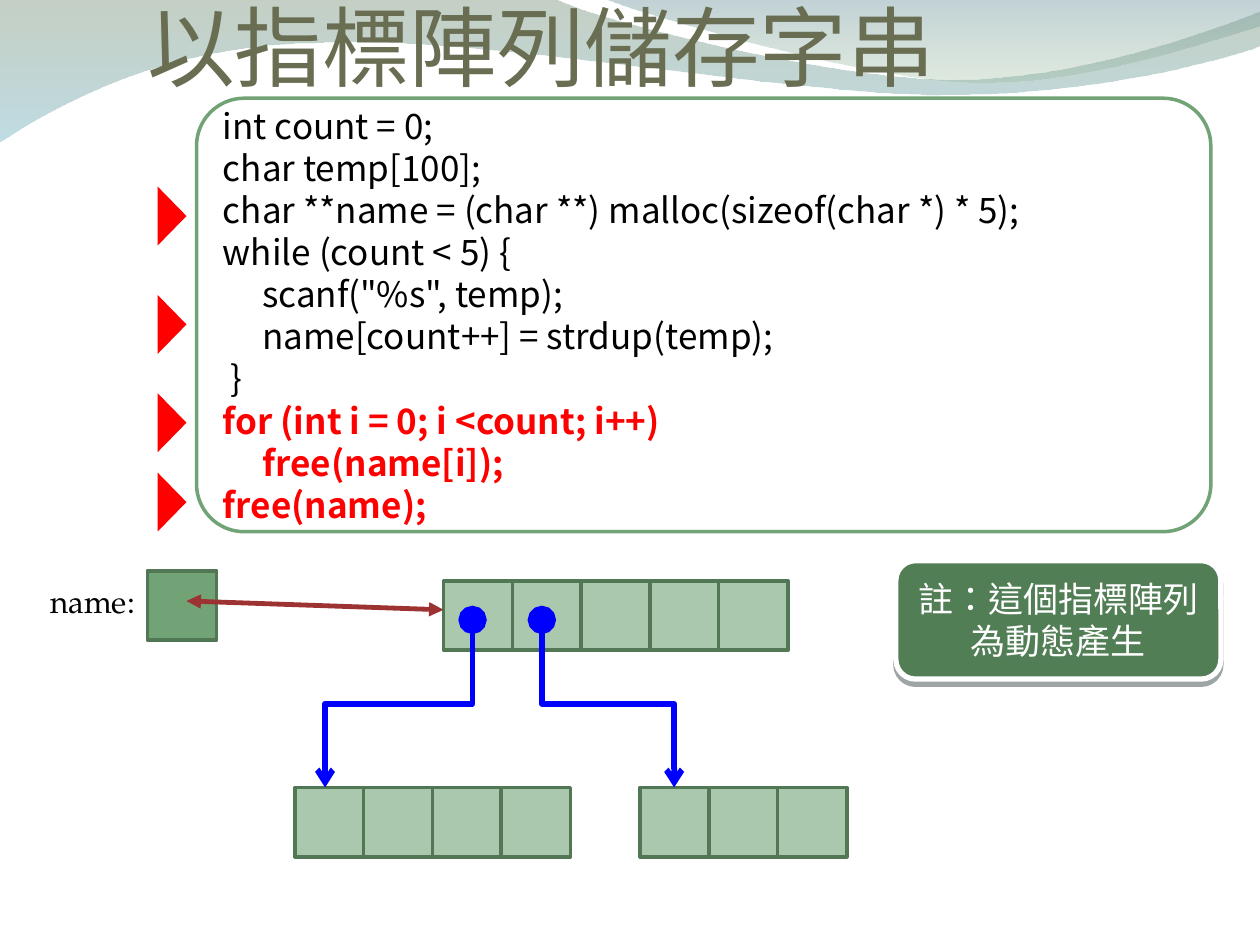
from dataclasses import dataclass
from typing import Optional

from lxml.etree import SubElement
from pptx import Presentation
from pptx.dml.color import RGBColor
from pptx.enum.shapes import MSO_CONNECTOR as CONNECTOR, MSO_SHAPE as SHAPE
from pptx.enum.text import MSO_ANCHOR as ANCHOR, PP_ALIGN as ALIGN
from pptx.oxml.ns import qn
from pptx.util import Inches, Pt

BLACK = RGBColor(0x00, 0x00, 0x00)
WHITE = RGBColor(0xFF, 0xFF, 0xFF)
RED = RGBColor(0xFF, 0x00, 0x00)
BLUE = RGBColor(0x00, 0x00, 0xFF)
BROWN = RGBColor(0x9D, 0x32, 0x32)
OLIVE = RGBColor(0x69, 0x6D, 0x52)
GREEN = RGBColor(0x72, 0xA3, 0x76)
PALE_GREEN = RGBColor(0xAA, 0xC8, 0xAD)
EDGE_GREEN = RGBColor(0x52, 0x77, 0x55)
NOTE_GREEN = RGBColor(0x52, 0x7E, 0x56)
MOSS = RGBColor(0x7E, 0x97, 0x7E)
SKY = RGBColor(0x8C, 0xC0, 0xCE)
STEEL = RGBColor(0x75, 0x99, 0xA3)
SAGE = RGBColor(0x96, 0xB8, 0x96)

SANS = "Noto Sans CJK SC"
SERIF = "TeX Gyre Pagella"
CELL = 0.55
PITCH = 2.73 / 5

CODE = """int count = 0;
char temp[100];
char **name = (char **) malloc(sizeof(char *) * 5);
while (count < 5) {
     scanf("%s", temp);
     name[count++] = strdup(temp);
 }"""
FREE_CODE = """for (int i = 0; i <count; i++)
     free(name[i]);
free(name);"""


@dataclass
class Wave:
    """A header band; a 1-point step is a line, a 3-point step a Bézier curve."""
    start: tuple
    steps: list
    stops: list  # (colour, opacity in percent) from top to bottom


@dataclass
class Row:
    """A row of array cells, with an optional pointer into its first cell."""
    left: float
    top: float
    count: int
    pointer: Optional[tuple] = None  # start x, start y, end x


WAVES = [
    Wave((0, -0.01),
         [[(4.4, -0.01)], [(4.76, 0.17), (6.64, 0.63), (7.58, 0.63)],
          [(8.53, 0.63), (9.58, 0.26), (10, 0.09)], [(10.01, 0.36)],
          [(9.83, 0.44), (8.7, 0.76), (7.46, 0.75)],
          [(6.22, 0.75), (3.82, 0.28), (2.57, 0.34)],
          [(1.29, 0.35), (0.46, 0.83), (-0.01, 1.13)]],
         [(MOSS, 45), (SKY, 55)]),
    Wave((4.79, -0.01),
         [[(5.09, 0.11), (6.82, 0.62), (7.69, 0.65)],
          [(8.56, 0.69), (9.61, 0.32), (10, 0.21)], [(10, 0)]],
         [(STEEL, 45), (SAGE, 30)]),
]
ROWS = [
    Row(3.52, 4.61, 5),
    Row(2.34, 6.25, 4, (3.75, 4.92, 2.58)),
    Row(5.08, 6.25, 3, (4.3, 4.92, 5.35)),
]
MARKER_TOPS = [1.6, 2.46, 3.24, 3.87]


def write(frame, text, *, size, color, font=SANS, bold=False, align=ALIGN.LEFT,
          anchor=ANCHOR.MIDDLE, spacing=None, language="en-US", append=False) -> None:
    """Write one paragraph per line of text, after the present ones if append."""
    frame.word_wrap = True
    frame.vertical_anchor = anchor
    for index, line in enumerate(text.split("\n")):
        new = append or index
        paragraph = frame.add_paragraph() if new else frame.paragraphs[0]
        paragraph.alignment = align
        paragraph.line_spacing = spacing
        paragraph.space_before = Pt(0)
        run = paragraph.add_run()
        run.text = line
        run.font.name, run.font.size, run.font.bold = font, Pt(size), bold
        run.font.color.rgb = color
        run.font._element.set("lang", language)
        SubElement(run.font._element, qn("a:ea"), typeface=font)


def add_box(shapes, kind, left, top, width, height, fill, line=None, weight=2):
    shape = shapes.add_shape(kind, Inches(left), Inches(top),
                             Inches(width), Inches(height))
    shape.shadow.inherit = False
    shape.fill.solid()
    shape.fill.fore_color.rgb = fill
    if line is None:
        shape.line.fill.background()
    else:
        shape.line.color.rgb = line
        shape.line.width = Pt(weight)
    return shape


def add_arrow(shapes, kind, start, end, color, weight, head, tail, head_size="med"):
    connector = shapes.add_connector(kind, *(Inches(v) for v in (*start, *end)))
    connector.line.color.rgb = color
    connector.line.width = Pt(weight)
    properties = connector._element.spPr
    line = properties.find(qn("a:ln"))
    SubElement(line, qn("a:headEnd"), type=head, w=head_size, len=head_size)
    SubElement(line, qn("a:tailEnd"), type=tail)
    SubElement(properties, qn("a:effectLst"))
    return connector


def add_pointer(shapes, start_x: float, start_y: float, end_x: float, end_y: float) -> None:
    """Elbow arrow that leaves downwards: a sideways elbow, turned a quarter."""
    width, height = end_y - start_y, abs(end_x - start_x)
    left = (start_x + end_x - width) / 2
    top = (start_y + end_y - height) / 2
    connector = add_arrow(shapes, CONNECTOR.ELBOW, (left, top), (left + width, top + height),
                          BLUE, 3.25, "oval", "arrow", head_size="lg")
    transform = connector._element.spPr.find(qn("a:xfrm"))
    to_right = end_x > start_x
    transform.set("rot", str((270 if to_right else 90) * 60000))
    if to_right:
        transform.set("flipH", "1")


def add_wave(shapes, wave: Wave) -> None:
    builder = shapes.build_freeform(*map(Inches, wave.start))
    builder.add_line_segments([(Inches(x), Inches(y)) for step in wave.steps
                               for x, y in step], close=True)
    shape = builder.convert_to_shape()
    # Join the three lines of each curved step into one Bézier segment
    lines = iter(list(shape._element.spPr.iter(qn("a:lnTo"))))
    for step in wave.steps:
        segment = next(lines)
        if len(step) == 3:
            segment.tag = qn("a:cubicBezTo")
            for _ in range(2):
                extra = next(lines)
                segment.append(extra[0])
                extra.getparent().remove(extra)
    shape.shadow.inherit = False
    shape.line.fill.background()
    shape.fill.gradient()
    shape.fill.gradient_angle = 270
    for stop, (color, _) in zip(shape.fill.gradient_stops, wave.stops):
        stop.color.rgb = color
    for element, (_, opacity) in zip(shape._element.spPr.iter(qn("a:srgbClr")), wave.stops):
        SubElement(element, qn("a:alpha"), val=str(opacity * 1000))


def add_row(slide, row: Row) -> None:
    shapes = slide.shapes.add_group_shape().shapes
    for index in range(row.count):
        add_box(shapes, SHAPE.RECTANGLE, row.left + index * PITCH, row.top,
                CELL, CELL, PALE_GREEN, EDGE_GREEN)
    if row.pointer:
        add_pointer(shapes, *row.pointer, row.top)


def main() -> None:
    presentation = Presentation()
    presentation.slide_width, presentation.slide_height = Inches(10), Inches(7.5)
    slide = presentation.slides.add_slide(presentation.slide_layouts[5])
    shapes = slide.shapes

    # Header waves, with the title above them
    for wave in WAVES:
        add_wave(shapes, wave)
    title = shapes.title
    shapes._spTree.append(title._element)
    title.left, title.top, title.width, title.height = map(Inches, (1.17, 0, 7.58, 0.78))
    frame = title.text_frame
    frame.margin_left = frame.margin_right = frame.margin_bottom = 0
    write(frame, "以指標陣列儲存字串", size=50, color=OLIVE, anchor=ANCHOR.BOTTOM,
          language="zh-TW")

    # Code panel with its step markers
    panel = add_box(shapes, SHAPE.ROUNDED_RECTANGLE, 1.56, 0.78, 8.05, 3.44, WHITE, GREEN)
    panel.adjustments[0] = 0.11
    write(panel.text_frame, CODE, size=20, color=BLACK, spacing=Pt(24))
    write(panel.text_frame, FREE_CODE, size=20, color=RED, bold=True,
          spacing=Pt(24), append=True)
    for top in MARKER_TOPS:
        add_box(shapes, SHAPE.ISOSCELES_TRIANGLE, 1.13, top, 0.47, 0.23, RED).rotation = 90

    # Pointer array and the strings it points to
    for row in ROWS:
        add_row(slide, row)

    # Note
    note = add_box(shapes, SHAPE.ROUNDED_RECTANGLE, 7.11, 4.45, 2.58, 0.94,
                   NOTE_GREEN, WHITE, 3)
    write(note.text_frame, "註：這個指標陣列為動態產生", size=20, color=WHITE,
          align=ALIGN.CENTER, spacing=Pt(24), language="zh-TW")
    shadow = SubElement(note._element.spPr.find(qn("a:effectLst")), qn("a:outerShdw"),
                        blurRad="0", dist=str(Pt(3)), dir="5400000", rotWithShape="0")
    shadow_color = SubElement(shadow, qn("a:srgbClr"), val="344346")
    SubElement(shadow_color, qn("a:alpha"), val="48000")

    # The name variable and its arrow to the array
    variable = shapes.add_group_shape().shapes
    add_box(variable, SHAPE.RECTANGLE, 1.17, 4.53, CELL, CELL, GREEN, EDGE_GREEN)
    label = variable.add_textbox(Inches(0), Inches(4.38), Inches(1.17), Inches(0.78))
    write(label.text_frame, "name:", size=18, color=BLACK, font=SERIF, align=ALIGN.RIGHT)
    add_arrow(shapes, CONNECTOR.STRAIGHT, (1.48, 4.77), (3.52, 4.84), BROWN, 2.75,
              "triangle", "triangle")

    presentation.save("out.pptx")


if __name__ == "__main__":
    main()
